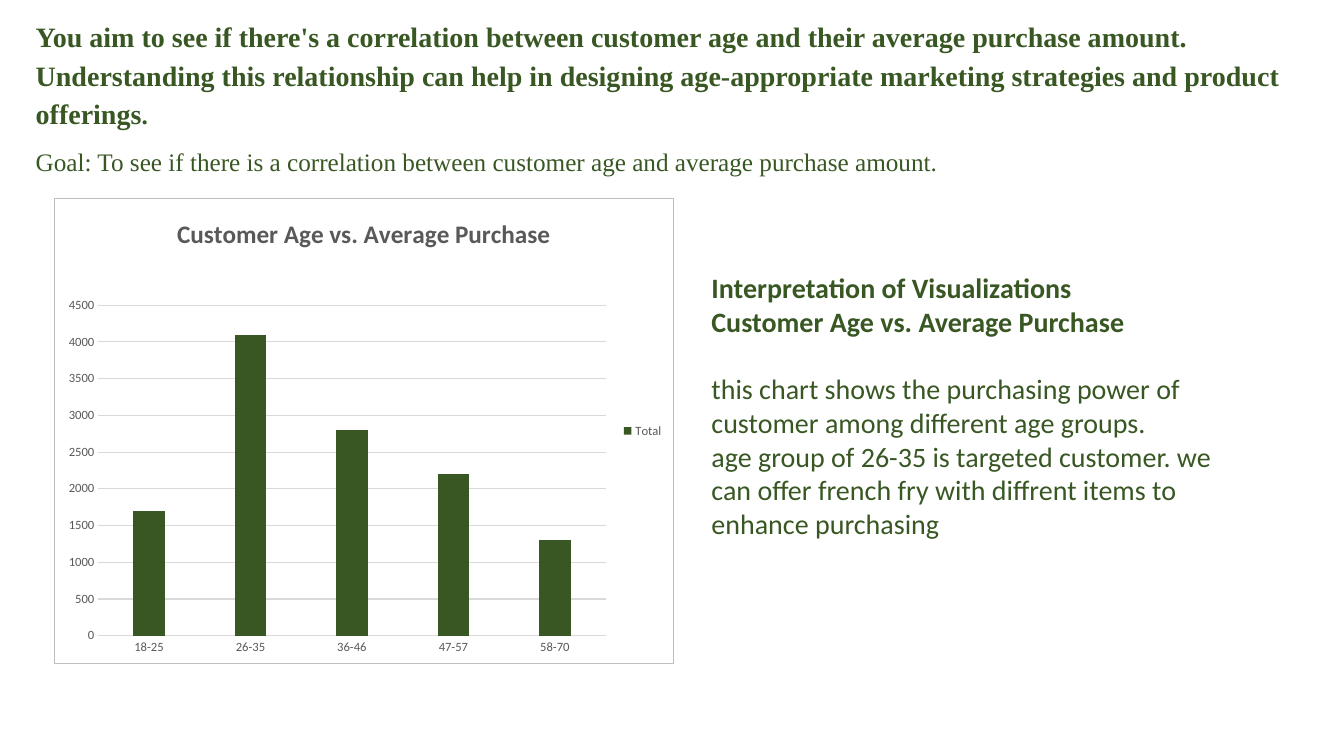
from dataclasses import dataclass

from lxml.etree import SubElement
from pptx import Presentation
from pptx.chart.data import CategoryChartData
from pptx.dml.color import RGBColor
from pptx.enum.chart import XL_CHART_TYPE as Kind
from pptx.enum.chart import XL_LEGEND_POSITION as Side
from pptx.enum.chart import XL_TICK_MARK as Tick
from pptx.oxml import parse_xml
from pptx.oxml.ns import nsdecls, qn
from pptx.util import Pt

GREEN = RGBColor(0x38, 0x57, 0x23)
GREY = RGBColor(0x59, 0x59, 0x59)
PALE = RGBColor(0xD9, 0xD9, 0xD9)
FRAME = RGBColor(0xBD, 0xBD, 0xBD)
SERIF = "Times New Roman"
SANS = "Calibri"


@dataclass
class Run:
    text: str
    size: float = 20
    bold: bool = False


@dataclass
class Para:
    runs: list[Run]
    before: float = 0


def style(font, size: float, color: RGBColor, name: str = SANS, bold: bool = False) -> None:
    font.size, font.name, font.bold = Pt(size), name, bold
    font.color.rgb = color


def write(slide, box: tuple, paras: list[Para], *, font: str,
          spacing: float = 1, after: float = 0) -> None:
    frame = slide.shapes.add_textbox(*map(Pt, box)).text_frame
    frame.word_wrap = True
    for i, item in enumerate(paras):
        para = frame.add_paragraph() if i else frame.paragraphs[0]
        para.line_spacing = spacing
        para.space_before, para.space_after = Pt(item.before), Pt(after)
        for part in item.runs:
            run = para.add_run()
            run.text = part.text
            style(run.font, part.size, GREEN, font, part.bold)


def place(node, **marks) -> None:
    """Set a manual layout, in fractions of the chart area."""
    layout = node.find(qn("c:layout"))
    if layout is None:
        layout = parse_xml(f"<c:layout {nsdecls('c')}/>")
        node.insert(0, layout)
    manual = SubElement(layout, qn("c:manualLayout"))
    for tag, val in marks.items():
        SubElement(manual, qn(f"c:{tag}")).set("val", str(val))


def draw_chart(slide, box: tuple) -> None:
    data = CategoryChartData()
    data.categories = ["18-25", "26-35", "36-46", "47-57", "58-70"]
    data.add_series("Total", [1700, 4100, 2800, 2200, 1300])
    chart = slide.shapes.add_chart(Kind.COLUMN_CLUSTERED, *map(Pt, box), data).chart
    style(chart.font, 10, GREY)

    # Title
    title = chart.chart_title
    title.text_frame.text = "Customer Age vs. Average Purchase"
    style(title.text_frame.paragraphs[0].runs[0].font, 18, GREY, bold=True)
    place(title._element, xMode="edge", yMode="edge", x=0.19, y=0.03)

    # Legend
    chart.has_legend = True
    chart.legend.position = Side.RIGHT
    chart.legend.include_in_layout = False
    style(chart.legend.font, 9, GREY)

    # Axes
    for axis in (chart.category_axis, chart.value_axis):
        axis.major_tick_mark = axis.minor_tick_mark = Tick.NONE
        style(axis.tick_labels.font, 9, GREY)
    values = chart.value_axis
    values.minimum_scale, values.maximum_scale, values.major_unit = 0, 4500, 500
    values.format.line.fill.background()
    for line in (chart.category_axis.format.line, values.major_gridlines.format.line):
        line.color.rgb, line.width = PALE, Pt(0.75)

    # Columns
    plot = chart.plots[0]
    plot.gap_width, plot.overlap, plot.vary_by_categories = 219, -27, False
    fill = plot.series[0].format.fill
    fill.solid()
    fill.fore_color.rgb = GREEN

    # Plot area and frame
    body = chart._chartSpace.find(qn("c:chart"))
    place(body.find(qn("c:plotArea")), layoutTarget="inner", xMode="edge", yMode="edge",
          x=0.07, y=0.23, w=0.82, h=0.71)
    body.addnext(parse_xml(
        f'<c:spPr {nsdecls("c", "a")}><a:solidFill><a:srgbClr val="FFFFFF"/></a:solidFill>'
        f'<a:ln w="{Pt(0.75)}"><a:solidFill><a:srgbClr val="{FRAME}"/></a:solidFill></a:ln>'
        "</c:spPr>"))


def main() -> None:
    deck = Presentation()
    deck.slide_width, deck.slide_height = Pt(960), Pt(540)
    slide = deck.slides.add_slide(deck.slide_layouts[6])

    # Aim and goal
    aim = ("You aim to see if there's a correlation between customer age and their average "
           "purchase amount. Understanding this relationship can help in designing "
           "age-appropriate marketing strategies and product offerings")
    goal = "Goal: To see if there is a correlation between customer age and average purchase amount."
    write(slide, (18.4, 6.8, 926, 156),
          [Para([Run(aim, bold=True), Run(".", 18, True)]), Para([Run(goal, 18)])],
          font=SERIF, spacing=1.15, after=8)

    draw_chart(slide, (38.9, 141.1, 442.8, 333.4))

    # Interpretation
    write(slide, (501.1, 189.8, 391, 201), [
        Para([Run("Interpretation of Visualizations", bold=True)]),
        Para([Run("Customer Age vs. Average Purchase", bold=True)]),
        Para([Run("this chart shows the purchasing power of customer among "
                  "different age groups.")], before=24.2),
        Para([Run("age group of 26-35 is targeted customer. we can offer french fry "
                  "with diffrent items to enhance purchasing")]),
    ], font=SANS)

    deck.save("out.pptx")


if __name__ == "__main__":
    main()
